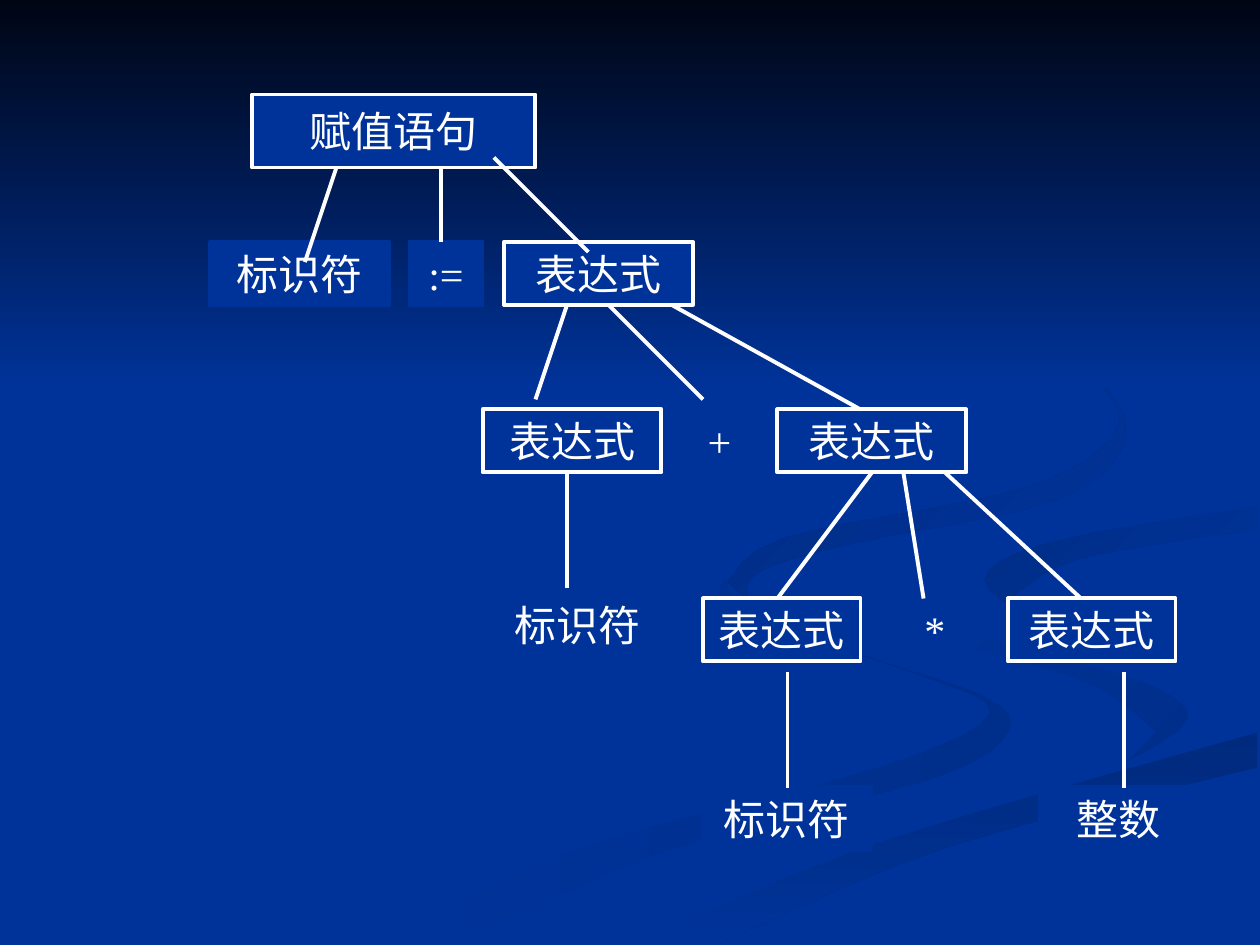
"""Builds a slide with the syntax tree of an assignment statement."""
from lxml.etree import SubElement
from pptx import Presentation
from pptx.dml.color import RGBColor
from pptx.enum.shapes import MSO_CONNECTOR, MSO_SHAPE
from pptx.enum.text import MSO_ANCHOR, PP_ALIGN
from pptx.oxml.ns import qn
from pptx.util import Inches, Pt

COLORS = {
    "blue": "003399",
    "white": "FFFFFF",
    "night": "000514",
    "tail": "002E8B",
    "stream": "002A7D",
    "bend": "002D86",
    "curl": "002B82",
}
FONT = "Times New Roman"
STEPS = 4

RIBBONS = [
    (("blue", "tail", 0),
     [(5.75, 4.59), (5.94, 4.85), (6.82, 5.19), (7.81, 5.53), (8, 5.81), (7.4, 6.18),
      (5.32, 6.74), (3.61, 7.49)],
     [(3, 7.49), (4.58, 6.74), (6.99, 6.09), (7.86, 5.66), (7.28, 5.35), (5.93, 4.91),
      (5.7, 4.7)]),
    (("blue", "tail", 45),
     [(7.24, 4.64), (7.58, 4.98), (9.05, 5.4), (9.43, 5.7), (8.94, 6.05)],
     [(9.18, 5.81), (8.68, 5.44), (7.66, 5.12)]),
    (("stream", "blue", 90),
     [(5.03, 7.49), (6.3, 6.93), (7.64, 6.47), (9.98, 5.81)],
     [(9.98, 6.09), (7.52, 6.72), (5.71, 7.49)]),
    (("blue", "blue", 0),
     [(9.99, 3.87), (7.88, 4.22), (7.25, 4.64), (7.93, 5.09), (9.05, 5.4), (9.43, 5.7),
      (8.92, 6.05), (6.63, 6.68), (4.77, 7.49)],
     [(5.03, 7.49), (6.96, 6.69), (9.99, 5.81)],
     [(9.99, 5.38), (8.32, 4.98), (7.81, 4.63), (8.5, 4.27), (9.99, 4.02)]),
    (("bend", "blue", 45),
     [(9.98, 4.02), (8.35, 4.3), (7.81, 4.6), (8.26, 4.96)],
     [(8.05, 4.72), (8.59, 4.43), (9.98, 4.2)]),
    (("curl", "blue", 45),
     [(7.62, 2.33), (8.54, 2.83), (8.94, 3.44), (8.41, 3.96), (6.83, 4.3), (6.06, 4.52),
      (5.94, 4.75), (6.22, 5)],
     [(5.77, 4.62), (6.25, 4.26), (8.18, 3.86), (8.89, 3.35), (8.46, 2.79)]),
]

NODE_ROWS = [
    (0.75, 0.58, [("赋值语句", 2, 2.25, "white")]),
    (1.92, 0.5, [("标识符", 1.67, 1.42, "blue"), (":=", 3.25, 0.58, "blue"),
                 ("表达式", 4, 1.5, "white")]),
    (3.25, 0.5, [("表达式", 3.83, 1.42, "white"), ("+", 5.42, 0.58, "blue"),
                 ("表达式", 6.17, 1.5, "white")]),
    (4.67, 0.58, [("标识符", 3.92, 1.33, "blue")]),
    (4.75, 0.5, [("表达式", 5.58, 1.25, "white"), ("*", 7.17, 0.5, "blue"),
                 ("表达式", 8, 1.33, "white")]),
    (6.25, 0.5, [("标识符", 5.58, 1.33, "blue"), ("整数", 8.25, 1.25, "blue")]),
]

BRANCH_ROWS = [
    (1.33, 1.92, [(3.5, 3.5)]),
    (1.33, 2.08, [(2.67, 2.42)]),
    (1.25, 2, [(3.92, 4.67)]),
    (2.42, 3.17, [(4.5, 4.25), (4.83, 5.58)]),
    (2.42, 3.25, [(5.33, 6.83)]),
    (3.75, 4.67, [(4.5, 4.5)]),
    (3.75, 4.75, [(6.92, 6.17), (7.17, 7.33), (7.5, 8.58)]),
    (5.33, 6.25, [(6.25, 6.25), (8.92, 8.92)]),
]


def color(name):
    """Return the named colour."""
    return RGBColor.from_string(COLORS[name])


def paint(fill, first, last, angle=0):
    """Fill with one colour, or with a gradient turned clockwise by angle."""
    if first == last:
        fill.solid()
        fill.fore_color.rgb = color(first)
        return
    fill.gradient()
    fill.gradient_angle = -angle % 360
    for stop, name in zip(fill.gradient_stops, (first, last)):
        stop.color.rgb = color(name)


def blend(a, b, c, d, t):
    """Return the Catmull-Rom value between b and c."""
    return b + t / 2 * (c - a + t * (2 * a - 5 * b + 4 * c - d + t * (3 * (b - c) + d - a)))


def smooth(edge):
    """Return the points of a curve that runs through an edge."""
    padded = [edge[0], *edge, edge[-1]]
    curve = [
        tuple(blend(*values, step / STEPS) for values in zip(*padded[start:start + 4]))
        for start in range(len(edge) - 1) for step in range(STEPS)
    ]
    return curve + [edge[-1]]


def add_ribbon(slide, style, *edges):
    """Add a closed background outline made of curved edges."""
    corners = [(Inches(x), Inches(y)) for edge in edges for x, y in smooth(edge)]
    builder = slide.shapes.build_freeform(*corners[0])
    builder.add_line_segments(corners[1:], close=True)
    ribbon = builder.convert_to_shape()
    ribbon.shadow.inherit = False
    ribbon.line.fill.background()
    paint(ribbon.fill, *style)


def add_rectangle(slide, left, top, width, height):
    """Add a plain rectangle."""
    box = slide.shapes.add_shape(
        MSO_SHAPE.RECTANGLE, Inches(left), Inches(top), Inches(width), Inches(height))
    box.shadow.inherit = False
    return box


def add_sky(slide):
    """Add the dark band that fades into the background."""
    sky = add_rectangle(slide, 0, 0, 10, 3.08)
    sky.line.fill.background()
    paint(sky.fill, "night", "blue", 90)


def add_node(slide, text, left, top, width, height, border):
    """Add a box of the tree with its centred label."""
    box = add_rectangle(slide, left, top, width, height)
    paint(box.fill, "blue", "blue")
    box.line.color.rgb = color(border)
    box.line.width = Pt(2.25)
    frame = box.text_frame
    frame.word_wrap = False
    frame.vertical_anchor = MSO_ANCHOR.MIDDLE
    para = frame.paragraphs[0]
    para.alignment = PP_ALIGN.CENTER
    span = para.add_run()
    span.text = text
    span.font.name = FONT
    span.font.size = Pt(24)
    span.font.color.rgb = color("white")


def add_branch(slide, *ends):
    """Add a line between two points of the tree."""
    branch = slide.shapes.add_connector(
        MSO_CONNECTOR.STRAIGHT, *[Inches(value) for value in ends])
    branch.line.color.rgb = color("white")
    branch.line.width = Pt(2.25)
    SubElement(branch._element.spPr, qn("a:effectLst"))


def main():
    """Build and save the deck."""
    deck = Presentation()
    deck.slide_width, deck.slide_height = Inches(10), Inches(7.5)
    page = deck.slides.add_slide(deck.slide_layouts[6])
    paint(page.background.fill, "blue", "blue")
    for ribbon in RIBBONS:
        add_ribbon(page, *ribbon)
    add_sky(page)
    for top, height, nodes in NODE_ROWS:
        for text, left, width, border in nodes:
            add_node(page, text, left, top, width, height, border)
    for top, bottom, spans in BRANCH_ROWS:
        for start, end in spans:
            add_branch(page, start, top, end, bottom)
    deck.save("out.pptx")


if __name__ == "__main__":
    main()
